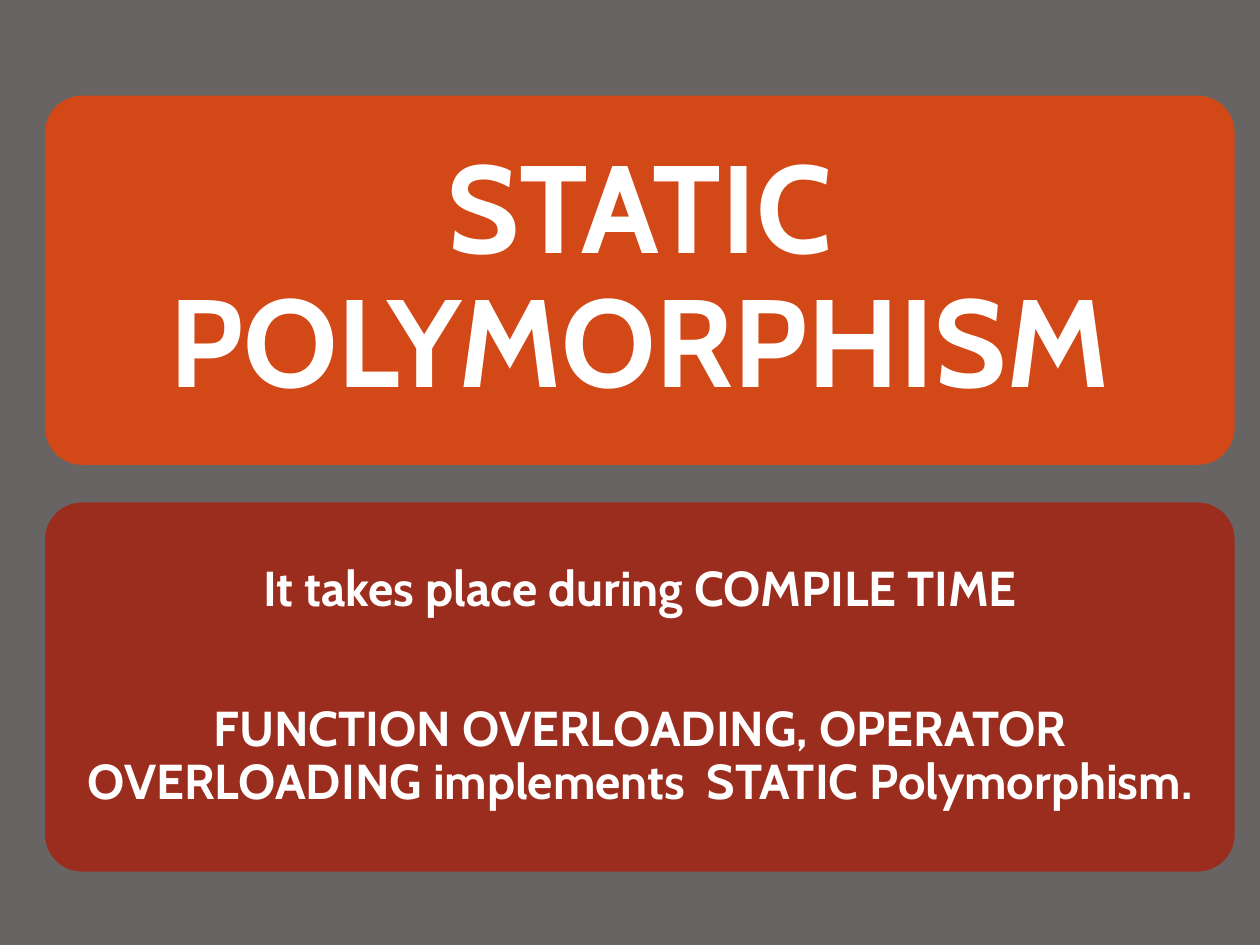
from pptx import Presentation
from pptx import util as u
from pptx.dml.color import RGBColor
from pptx.enum import shapes, text

COLOURS = {
    "background": "696464",
    "title": "D34817",
    "details": "9B2D1F",
    "text": "FFFFFF",
}
LEFT, TOP = 0.91, 1.93
WIDTH, HEIGHT, GAP = 23.98, 7.44, 0.76


class SlideBuilder:
    """Holds the slide being built and its shared style."""

    font_name = "Cabin"

    def __init__(self, slide):
        self.slide = slide

    def colour(self, name):
        return RGBColor.from_string(COLOURS[name])

    def background(self, name):
        fill = self.slide.background.fill
        fill.solid()
        fill.fore_color.rgb = self.colour(name)

    def panel(self, row, colour_name, paragraphs, size, inset, spacing=0):
        """Add a rounded panel; spacing is the points between paragraphs."""
        shape = self.slide.shapes.add_shape(
            shapes.MSO_SHAPE.ROUNDED_RECTANGLE,
            u.Cm(LEFT), u.Cm(TOP + row * (HEIGHT + GAP)),
            u.Cm(WIDTH), u.Cm(HEIGHT))
        shape.adjustments[0] = 0.1
        shape.shadow.inherit = False
        shape.fill.solid()
        shape.fill.fore_color.rgb = self.colour(colour_name)
        shape.line.fill.background()

        frame = shape.text_frame
        frame.word_wrap = True
        frame.vertical_anchor = text.MSO_ANCHOR.MIDDLE
        frame.margin_left = frame.margin_right = u.Cm(inset)
        frame.margin_top = frame.margin_bottom = u.Cm(inset)
        for index, wording in enumerate(paragraphs):
            paragraph = frame.add_paragraph() if index else frame.paragraphs[0]
            paragraph.text = wording
            paragraph.alignment = text.PP_ALIGN.CENTER
            paragraph.line_spacing = 0.9
            paragraph.space_before = u.Pt(spacing if index else 0)
            paragraph.font.name = self.font_name
            paragraph.font.size = u.Pt(size)
            paragraph.font.bold = True
            paragraph.font.color.rgb = self.colour("text")


def main():
    presentation = Presentation()
    presentation.slide_width = u.Cm(25.4)
    presentation.slide_height = u.Cm(19.05)
    slide = presentation.slides.add_slide(presentation.slide_layouts[6])

    builder = SlideBuilder(slide)
    builder.background("background")
    builder.panel(0, "title", ["STATIC POLYMORPHISM"], size=71, inset=0.76)
    builder.panel(1, "details", [
        "It takes place during COMPILE TIME",
        "FUNCTION OVERLOADING, OPERATOR OVERLOADING implements  STATIC Polymorphism.",
    ], size=28, inset=0.3, spacing=50)

    presentation.save("out.pptx")


if __name__ == "__main__":
    main()
